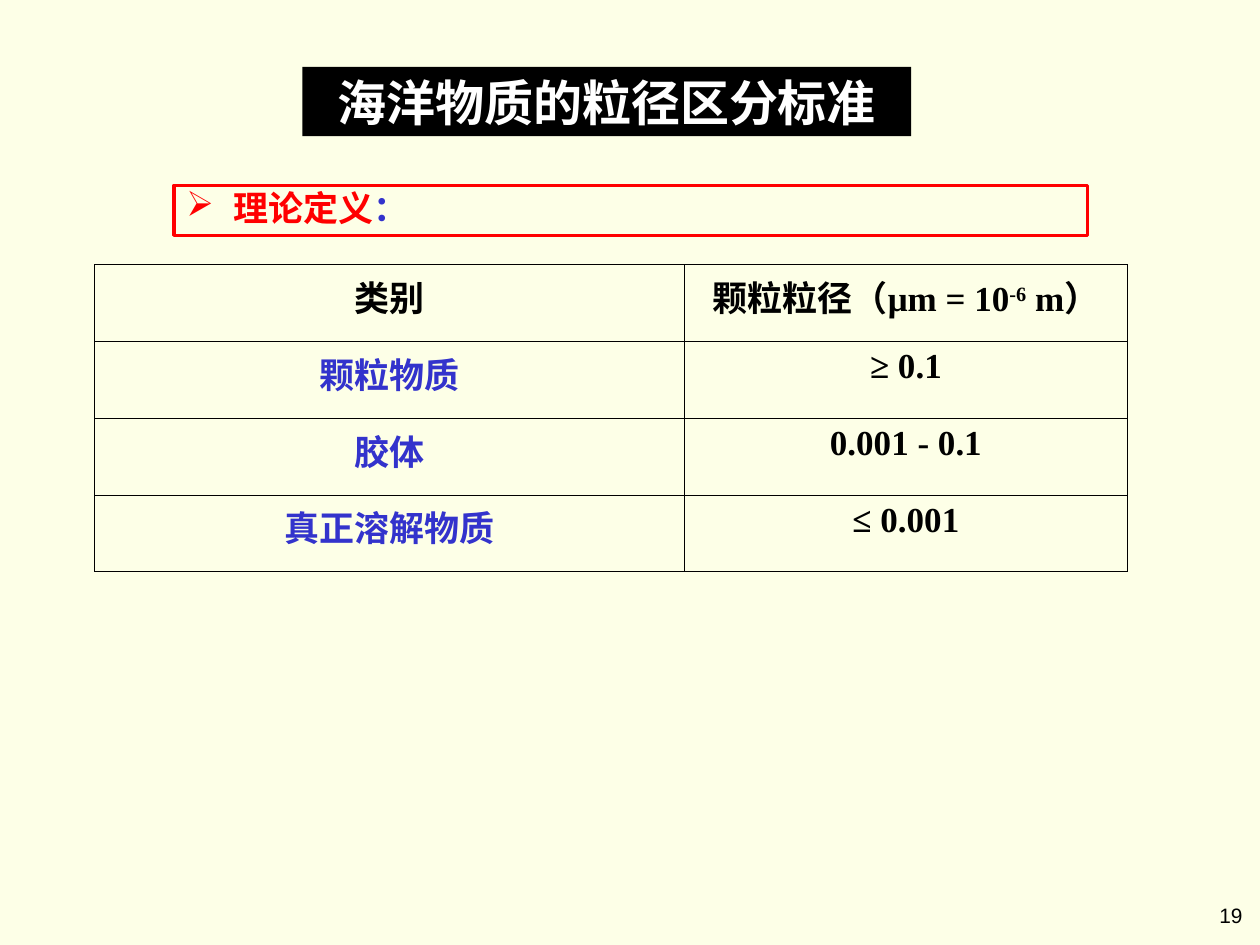
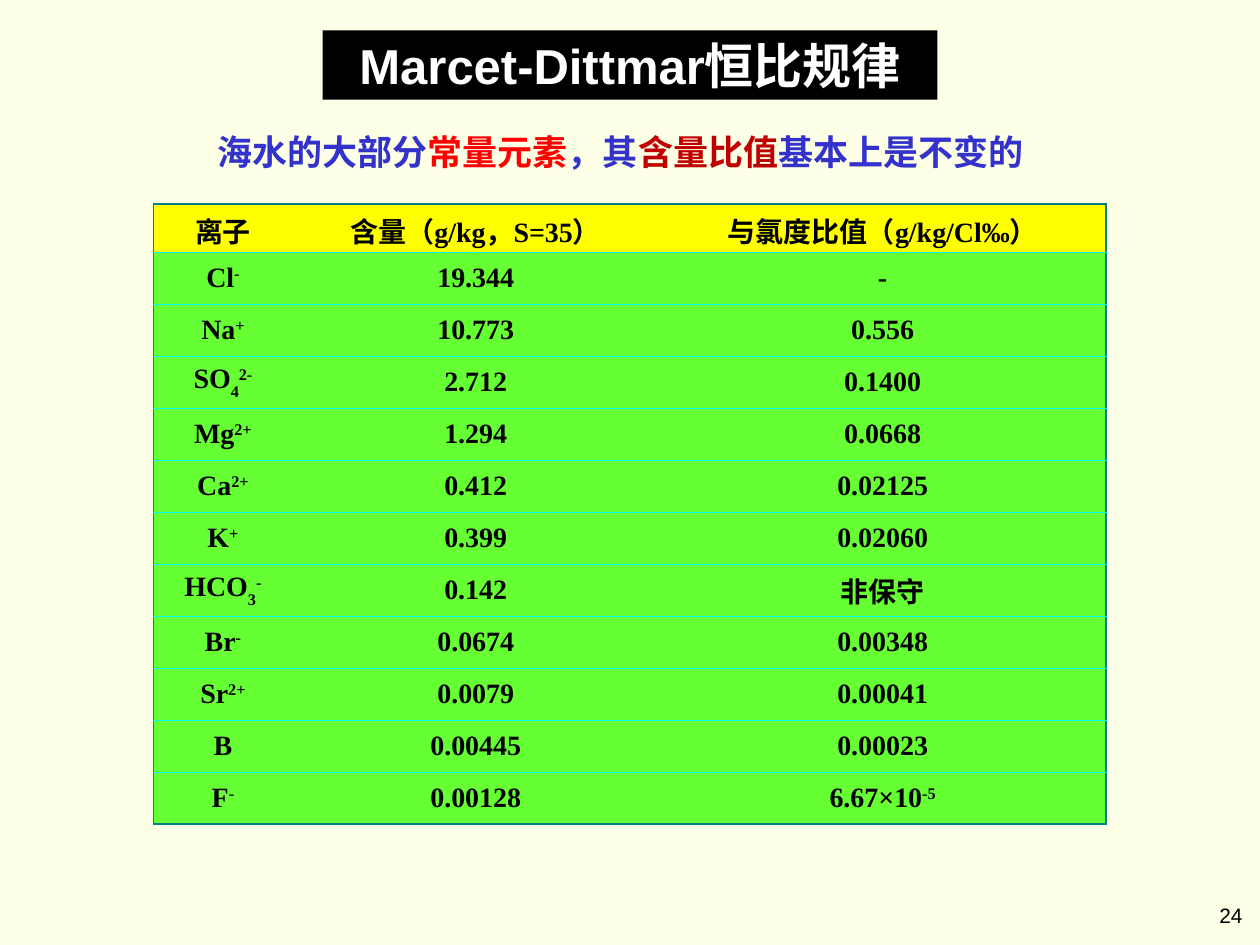
from lxml import etree
from pptx import Presentation
from pptx.dml.color import RGBColor
from pptx.enum.shapes import MSO_SHAPE
from pptx.enum.text import MSO_ANCHOR, MSO_AUTO_SIZE, PP_ALIGN
from pptx.oxml.ns import qn
from pptx.util import Pt

RECT = MSO_SHAPE.RECTANGLE
TOP, MIDDLE = MSO_ANCHOR.TOP, MSO_ANCHOR.MIDDLE
CENTER, RIGHT = PP_ALIGN.CENTER, PP_ALIGN.RIGHT
NO_FIT = MSO_AUTO_SIZE.NONE

CREAM = RGBColor(0xFD, 0xFF, 0xE7)
BLACK = RGBColor(0, 0, 0)
WHITE = RGBColor(0xFF, 0xFF, 0xFF)
RED = RGBColor(0xFF, 0, 0)
DARK_RED = RGBColor(0xC0, 0, 0)
BLUE = RGBColor(0x33, 0x33, 0xCC)
YELLOW = RGBColor(0xFF, 0xFF, 0)
GREEN = RGBColor(0x66, 0xFF, 0x33)
TEAL = RGBColor(0, 0x80, 0x80)
CYAN = RGBColor(0, 0xFF, 0xFF)
SANS, CJK, SERIF = "Arial", "Noto Sans CJK SC", "Times New Roman"


def add_text(p, text, size=20, font=CJK, color=BLACK, bold=True, baseline=0):
    r = p.add_run()
    r.text = text
    r.font.size = Pt(size)
    r.font.bold = bold
    r.font.color.rgb = color
    r.font.name = font
    rPr = r._r.get_or_add_rPr()
    etree.SubElement(rPr, qn("a:ea")).set("typeface", CJK)
    if baseline:
        rPr.set("baseline", str(baseline * 1000))


def format_cell(cell, content, borders, fill=None, anchor=TOP, **fmt):
    tcPr = cell._tc.get_or_add_tcPr()
    for side, border in zip("LRTB", borders):
        ln = etree.SubElement(tcPr, qn(f"a:ln{side}"))
        if border:
            color, width = border
            ln.set("w", str(Pt(width)))
            solid = etree.SubElement(ln, qn("a:solidFill"))
            etree.SubElement(solid, qn("a:srgbClr")).set("val", str(color))
        else:
            etree.SubElement(ln, qn("a:noFill"))
    if fill:
        cell.fill.solid()
        cell.fill.fore_color.rgb = fill
    else:
        cell.fill.background()
    cell.vertical_anchor = anchor
    p = cell.text_frame.paragraphs[0]
    p.alignment = CENTER
    parts = [(content, 0)] if isinstance(content, str) else content
    for text, baseline in parts:
        add_text(p, text, baseline=baseline, **fmt)


prs = Presentation()
prs.slide_width, prs.slide_height = Pt(720), Pt(540)
bg = prs.slide_master.background.fill
bg.solid()
bg.fore_color.rgb = CREAM

slides = []
for title, left, top, width, number in [
    ("海洋物质的粒径区分标准", 172.8, 38.2, 347.8, "19"),
    ("Marcet-Dittmar恒比规律", 184.3, 17.3, 351.4, "24"),
]:
    s = prs.slides.add_slide(prs.slide_layouts[5])
    slides.append(s)
    sp = s.shapes.title
    sp.left, sp.top, sp.width, sp.height = Pt(left), Pt(top), Pt(width), Pt(39.6)
    sp.fill.solid()
    sp.fill.fore_color.rgb = BLACK
    tf = sp.text_frame
    tf.auto_size = NO_FIT
    tf.vertical_anchor = MIDDLE
    tf.margin_left = tf.margin_right = tf.margin_top = tf.margin_bottom = 0
    p = tf.paragraphs[0]
    p.alignment = CENTER
    add_text(p, title, size=28, font=SANS, color=WHITE)

    tf = s.shapes.add_textbox(Pt(671), Pt(514), Pt(46), Pt(22.3)).text_frame
    tf.word_wrap = True
    p = tf.paragraphs[0]
    p.alignment = RIGHT
    p.line_spacing = 0.9
    add_text(p, number, size=11.9, font=SANS, bold=False)

size_slide, ratio_slide = slides

sp = size_slide.shapes.add_shape(RECT, Pt(99.4), Pt(105.8), Pt(522), Pt(28.8))
sp.shadow.inherit = False
sp.fill.background()
sp.line.color.rgb = RED
sp.line.width = Pt(1.75)
tf = sp.text_frame
tf.word_wrap = True
tf.vertical_anchor = TOP
p = tf.paragraphs[0]
p.alignment = PP_ALIGN.LEFT
p.line_spacing = 0.9
pPr = p._p.get_or_add_pPr()
pPr.set("marL", str(Pt(27)))
pPr.set("indent", str(-Pt(27)))
buClr = etree.SubElement(pPr, qn("a:buClr"))
etree.SubElement(buClr, qn("a:srgbClr")).set("val", str(RED))
etree.SubElement(pPr, qn("a:buChar")).set("char", "➢")
add_text(p, "理论定义", color=RED)
add_text(p, "：", color=BLUE)

size_rows = [
    ("类别", [("颗粒粒径（μm = 10", 0), ("-6", 30), (" m）", 0)]),
    ("颗粒物质", "≥ 0.1"),
    ("胶体", "0.001 - 0.1"),
    ("真正溶解物质", "≤ 0.001"),
]
table = size_slide.shapes.add_table(4, 2, Pt(54), Pt(151.2), Pt(590.4), Pt(175.6)).table
table.first_row = table.horz_banding = False
table.columns[0].width, table.columns[1].width = Pt(337), Pt(253.4)
for i, (category, diameter) in enumerate(size_rows):
    table.rows[i].height = Pt(43.9)
    grid = [(BLACK, 0.4)] * 4
    format_cell(table.cell(i, 0), category, grid, color=BLUE if i else BLACK)
    format_cell(table.cell(i, 1), diameter, grid, font=SERIF)

tf = ratio_slide.shapes.add_textbox(Pt(90), Pt(71.3), Pt(529.2), Pt(31.7)).text_frame
tf.word_wrap = True
p = tf.paragraphs[0]
p.alignment = CENTER
for text, color in [
    ("海水的大部分", BLUE),
    ("常量元素", RED),
    ("，其", BLUE),
    ("含量比值", DARK_RED),
    ("基本上是不变的", BLUE),
]:
    add_text(p, text, color=color)

ion_rows = [
    ("离子", "含量（g/kg，S=35）", "与氯度比值（g/kg/Cl‰）"),
    ([("Cl", 0), ("-", 30)], "19.344", "-"),
    ([("Na", 0), ("+", 30)], "10.773", "0.556"),
    ([("SO", 0), ("4", -30), ("2-", 30)], "2.712", "0.1400"),
    ([("Mg", 0), ("2+", 30)], "1.294", "0.0668"),
    ([("Ca", 0), ("2+", 30)], "0.412", "0.02125"),
    ([("K", 0), ("+", 30)], "0.399", "0.02060"),
    ([("HCO", 0), ("3", -30), ("-", 30)], "0.142", "非保守"),
    ([("Br", 0), ("-", 30)], "0.0674", "0.00348"),
    ([("Sr", 0), ("2+", 30)], "0.0079", "0.00041"),
    ("B", "0.00445", "0.00023"),
    ([("F", 0), ("-", 30)], "0.00128", [("6.67×10", 0), ("-5", 30)]),
]
last_row = len(ion_rows) - 1
table = ratio_slide.shapes.add_table(12, 3, Pt(87.8), Pt(116.7), Pt(544.3), Pt(354.1)).table
table.first_row = table.horz_banding = False
for j, width in enumerate((79.2, 209.7, 255.4)):
    table.columns[j].width = Pt(width)
outer, inner = (TEAL, 0.96), (CYAN, 0.45)
for i, row in enumerate(ion_rows):
    table.rows[i].height = Pt(29.7 if i else 27.4)
    for j, content in enumerate(row):
        borders = [
            outer if j == 0 else None,
            outer if j == 2 else None,
            inner if i else outer,
            inner if i < last_row else outer,
        ]
        format_cell(table.cell(i, j), content, borders, fill=GREEN if i else YELLOW,
                    anchor=MIDDLE, size=16, font=SERIF)

prs.save("out.pptx")
